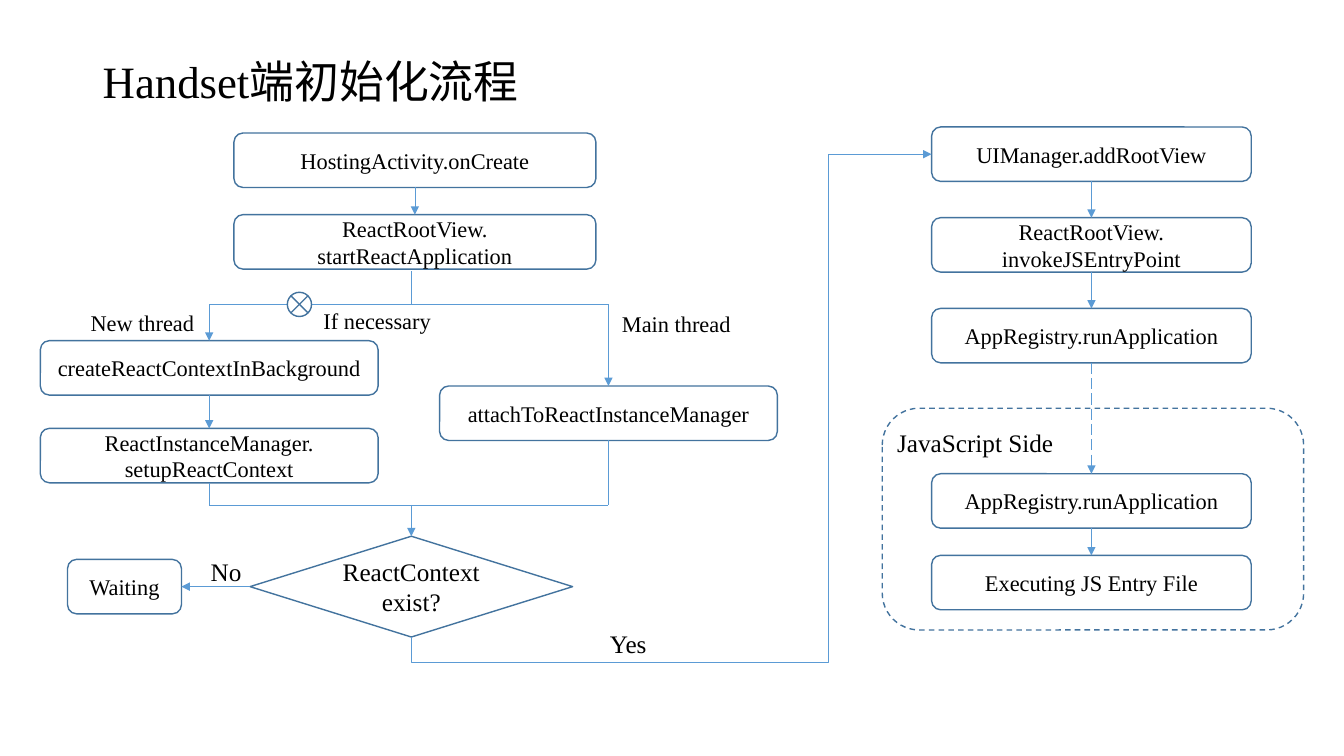
import pptx
import pptx.util
from pptx.dml.color import RGBColor
from pptx.enum.dml import MSO_LINE
from pptx.enum.shapes import MSO_CONNECTOR, MSO_SHAPE
from pptx.enum.text import MSO_ANCHOR, PP_ALIGN
from pptx.oxml.ns import qn
from lxml import etree

Inches, Pt = pptx.util.Inches, pptx.util.Pt

FONT = "Times New Roman"
BLACK = RGBColor(0x00, 0x00, 0x00)
WHITE = RGBColor(0xFF, 0xFF, 0xFF)
OUTLINE = RGBColor(0x43, 0x73, 0x9E)
FLOW = RGBColor(0x5B, 0x9B, 0xD5)

TITLE = "Handset端初始化流程"
BOX_H = 0.54
TOP, LEFT, BOTTOM, RIGHT = range(4)

# columns: left, width
START, BACKGROUND, MAIN = (2.32, 3.59), (0.4, 3.35), (4.36, 3.35)
ENTRY, WAIT = (9.24, 3.17), (0.67, 1.13)

# name: column, top, lines
BOXES = {
    "create": (START, 1.32, ["HostingActivity.onCreate"]),
    "start": (START, 2.13, ["ReactRootView.", "startReactApplication"]),
    "context": (BACKGROUND, 3.38, ["createReactContextInBackground"]),
    "setup": (BACKGROUND, 4.25, ["ReactInstanceManager.", "setupReactContext"]),
    "attach": (MAIN, 3.83, ["attachToReactInstanceManager"]),
    "waiting": (WAIT, 5.55, ["Waiting"]),
    "add": (ENTRY, 1.26, ["UIManager.addRootView"]),
    "invoke": (ENTRY, 2.16, ["ReactRootView.", "invokeJSEntryPoint"]),
    "run": (ENTRY, 3.06, ["AppRegistry.runApplication"]),
    "js_run": (ENTRY, 4.7, ["AppRegistry.runApplication"]),
    "js_entry": (ENTRY, 5.51, ["Executing JS Entry File"]),
}
DECISION = (2.48, 5.32, 3.2, 1)
JUNCTION = (2.85, 2.9, 0.24, 0.24)
JS_FRAME = (8.75, 4.05, 4.18, 2.2)

# text, place, size, wrap
LABELS = [
    ("No", (1.99, 5.47, 0.65, 0.36), 18, True),
    ("Yes", (5.95, 6.18, 0.65, 0.36), 18, True),
    ("New thread", (0.8, 3.02, 1.27, 0.33), 16, False),
    ("Main thread", (6.07, 3.03, 1.32, 0.33), 16, False),
    ("If necessary", (3.11, 3, 1.31, 0.33), 16, False),
    ("JavaScript Side", (8.8, 4.19, 1.8, 0.36), 18, False),
]

DOWN_ARROWS = [
    ("create", "start"), ("context", "setup"), ("add", "invoke"),
    ("invoke", "run"), ("js_run", "js_entry"),
]

FORK_Y, JOIN_Y = 3.02, 5.01
CENTER_X = DECISION[0] + DECISION[2] / 2
BACKGROUND_X, MAIN_X = (left + width / 2 for left, width in (BACKGROUND, MAIN))
YES_PATH = [(CENTER_X, 6.32), (CENTER_X, 6.57), (8.22, 6.57), (8.22, 1.53), (9.24, 1.53)]


def write(tf, lines, size, align=PP_ALIGN.LEFT, anchor=MSO_ANCHOR.TOP, wrap=True):
    tf.word_wrap = wrap
    tf.vertical_anchor = anchor
    for i, line in enumerate(lines):
        p = tf.add_paragraph() if i else tf.paragraphs[0]
        p.alignment = align
        r = p.add_run()
        r.text = line
        r.font.size = Pt(size)
        r.font.name = FONT
        r.font.color.rgb = BLACK


def add_text(s, place, text, size, **layout):
    tb = s.shapes.add_textbox(*map(Inches, place))
    write(tb.text_frame, [text], size, **layout)
    return tb.text_frame


def add_node(s, kind, place, lines=(), size=16, filled=True):
    sp = s.shapes.add_shape(kind, *map(Inches, place))
    sp.shadow.inherit = False
    if filled:
        sp.fill.solid()
        sp.fill.fore_color.rgb = WHITE
    else:
        sp.fill.background()
    sp.line.color.rgb = OUTLINE
    sp.line.width = Pt(1)
    write(sp.text_frame, lines, size, PP_ALIGN.CENTER, MSO_ANCHOR.MIDDLE)
    return sp


def style_flow(sp, arrow, width=0.5, dash=None):
    sp.line.color.rgb = FLOW
    sp.line.width = Pt(width)
    if dash:
        sp.line.dash_style = dash
    if arrow:
        etree.SubElement(sp.line._get_or_add_ln(), qn("a:tailEnd"), type="triangle")


def add_flow(s, start, end, arrow=True, **style):
    """Draw a line; each end is an (x, y) point or a (shape, side) pair."""
    points = [(0, 0) if hasattr(e[0], "shape_id") else e for e in (start, end)]
    c = s.shapes.add_connector(
        MSO_CONNECTOR.STRAIGHT, *(Inches(v) for point in points for v in point))
    for e, join in ((start, c.begin_connect), (end, c.end_connect)):
        if hasattr(e[0], "shape_id"):
            join(*e)
    style_flow(c, arrow, **style)
    etree.SubElement(c._element.spPr, qn("a:effectLst"))


def add_bent_flow(s, points):
    (x, y), *rest = [(Inches(px), Inches(py)) for px, py in points]
    fb = s.shapes.build_freeform(x, y)
    fb.add_line_segments(rest, close=False)
    sp = fb.convert_to_shape()
    sp.shadow.inherit = False
    sp.fill.background()
    style_flow(sp, arrow=True)


def main():
    prs = pptx.Presentation()
    prs.slide_width, prs.slide_height = Inches(13.33), Inches(7.5)
    s = prs.slides.add_slide(prs.slide_layouts[6])

    tf = add_text(s, (0.92, 0.4, 11.5, 0.86), TITLE, 32, anchor=MSO_ANCHOR.MIDDLE)
    tf.paragraphs[0].line_spacing = 0.9

    nodes = {
        name: add_node(s, MSO_SHAPE.ROUNDED_RECTANGLE, (left, top, width, BOX_H), lines)
        for name, ((left, width), top, lines) in BOXES.items()
    }
    decision = add_node(s, MSO_SHAPE.DIAMOND, DECISION, ["ReactContext exist?"], 18)

    for upper, lower in DOWN_ARROWS:
        add_flow(s, (nodes[upper], BOTTOM), (nodes[lower], TOP))
    add_flow(s, (nodes["run"], BOTTOM), (nodes["js_run"], TOP),
             width=1, dash=MSO_LINE.LONG_DASH)

    add_flow(s, (CENTER_X, 2.69), (CENTER_X, FORK_Y), arrow=False)
    for y in (FORK_Y, JOIN_Y):
        add_flow(s, (BACKGROUND_X, y), (MAIN_X, y), arrow=False)
    for x, first, last in ((BACKGROUND_X, "context", "setup"), (MAIN_X, "attach", "attach")):
        add_flow(s, (x, FORK_Y), (nodes[first], TOP))
        add_flow(s, (nodes[last], BOTTOM), (x, JOIN_Y), arrow=False)
    add_flow(s, (CENTER_X, JOIN_Y), (decision, TOP))
    add_flow(s, (decision, LEFT), (nodes["waiting"], RIGHT))
    add_bent_flow(s, YES_PATH)

    add_node(s, MSO_SHAPE.FLOWCHART_SUMMING_JUNCTION, JUNCTION)
    frame = add_node(s, MSO_SHAPE.ROUNDED_RECTANGLE, JS_FRAME, filled=False)
    frame.line.dash_style = MSO_LINE.DASH

    for text, place, size, wrap in LABELS:
        add_text(s, place, text, size, wrap=wrap)

    prs.save("out.pptx")


if __name__ == "__main__":
    main()
